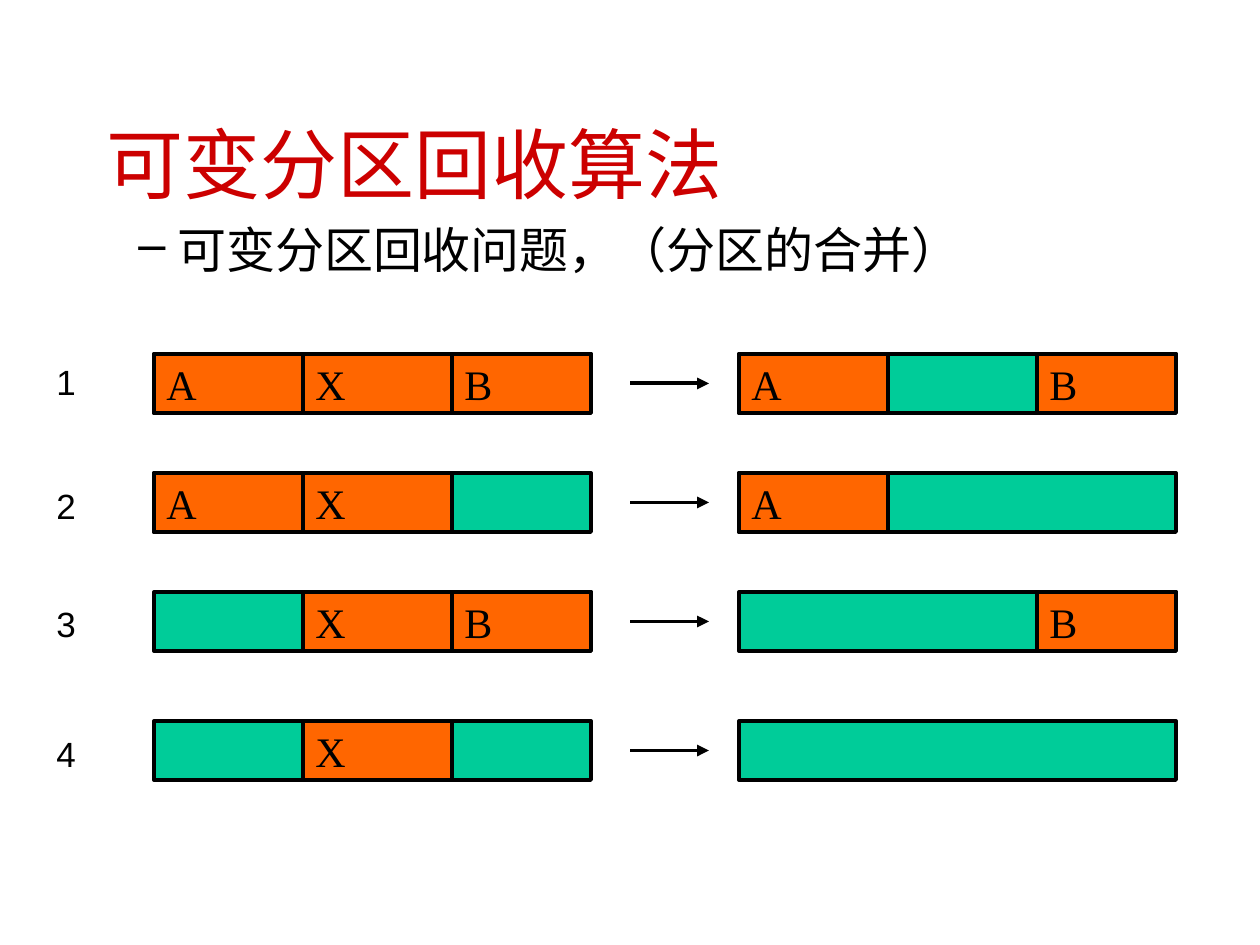
from lxml.etree import SubElement
from pptx import Presentation
from pptx.dml.color import RGBColor
from pptx.enum.shapes import MSO_CONNECTOR, MSO_SHAPE
from pptx.enum.text import MSO_ANCHOR, PP_ALIGN
from pptx.oxml.ns import qn
from pptx.util import Pt

TITLE = "可变分区回收算法"
SUBTITLE = "可变分区回收问题，（分区的合并）"
# number, number top, bar top, partitions in use before and after X is released
CASES = [
    ("1", 354, 354, "AXB", "AB"),
    ("2", 478, 473, "AX", "A"),
    ("3", 596, 592, "XB", "B"),
    ("4", 726, 721, "X", ""),
]
PARTITIONS = {"A": (0, 149), "X": (149, 149), "B": (298, 139)}  # offset, width
BEFORE_LEFT, AFTER_LEFT = 154, 739
BAR_WIDTH, BAR_HEIGHT = 437, 59
ARROW_LEFT, ARROW_RIGHT = 630, 709
COLORS = {"title": "CC0000", "ink": "000000", "free": "00CC99", "used": "FF6600"}
SERIF, SANS = "Times New Roman", "Arial"
LINE_WIDTH = Pt(2.25)


def px(value):
    return round(value * 914400 / 126)


def color(name):
    return RGBColor.from_string(COLORS[name])


def write(shape, text, size, font=SERIF, ink="ink", anchor=MSO_ANCHOR.TOP):
    frame = shape.text_frame
    frame.word_wrap = True
    frame.vertical_anchor = anchor
    paragraph = frame.paragraphs[0]
    paragraph.text = text
    paragraph.alignment = PP_ALIGN.LEFT
    paragraph.font.size = Pt(size)
    paragraph.font.name = font
    paragraph.font.color.rgb = color(ink)
    return paragraph


def add_text(slide, box, text, size, **style):
    return write(slide.shapes.add_textbox(*map(px, box)), text, size, **style)


def add_dash(paragraph, left, indent):
    """Give the paragraph a dash bullet with a hanging indent."""
    properties = paragraph._p.get_or_add_pPr()
    properties.set("marL", str(px(left)))
    properties.set("indent", str(px(indent)))
    bullet = properties.makeelement(qn("a:buChar"), {"char": "–"})
    properties.insert_element_before(bullet, "a:tabLst", "a:defRPr", "a:extLst")


def add_block(slide, left, top, width, fill):
    block = slide.shapes.add_shape(
        MSO_SHAPE.RECTANGLE, px(left), px(top), px(width), px(BAR_HEIGHT))
    block.shadow.inherit = False
    block.fill.solid()
    block.fill.fore_color.rgb = color(fill)
    block.line.color.rgb = color("ink")
    block.line.width = LINE_WIDTH
    return block


def add_memory(slide, left, top, used):
    """Draw a free bar with the partitions in use on top of it."""
    add_block(slide, left, top, BAR_WIDTH, "free")
    for name in used:
        offset, width = PARTITIONS[name]
        block = add_block(slide, left + offset, top, width, "used")
        write(block, name, 24, anchor=MSO_ANCHOR.MIDDLE)


def add_arrow(slide, y):
    arrow = slide.shapes.add_connector(
        MSO_CONNECTOR.STRAIGHT, px(ARROW_LEFT), px(y), px(ARROW_RIGHT), px(y))
    arrow.line.color.rgb = color("ink")
    arrow.line.width = LINE_WIDTH
    SubElement(arrow.line._get_or_add_ln(), qn("a:tailEnd"), type="triangle")
    SubElement(arrow._element.spPr, qn("a:effectLst"))


def main():
    presentation = Presentation()
    presentation.slide_width, presentation.slide_height = px(1260), px(945)
    slide = presentation.slides.add_slide(presentation.slide_layouts[6])

    add_text(slide, (94, 84, 1071, 158), TITLE, 44, ink="title",
             anchor=MSO_ANCHOR.MIDDLE)
    subtitle = add_text(slide, (63, 220, 1134, 142), SUBTITLE, 28)
    subtitle.line_spacing = 0.9
    add_dash(subtitle, 102, -39)

    for number, number_top, top, before, after in CASES:
        add_text(slide, (44, number_top, 95, 55), number, 20, font=SANS)
        add_memory(slide, BEFORE_LEFT, top, before)
        add_arrow(slide, top + BAR_HEIGHT / 2)
        add_memory(slide, AFTER_LEFT, top, after)

    presentation.save("out.pptx")


if __name__ == "__main__":
    main()
